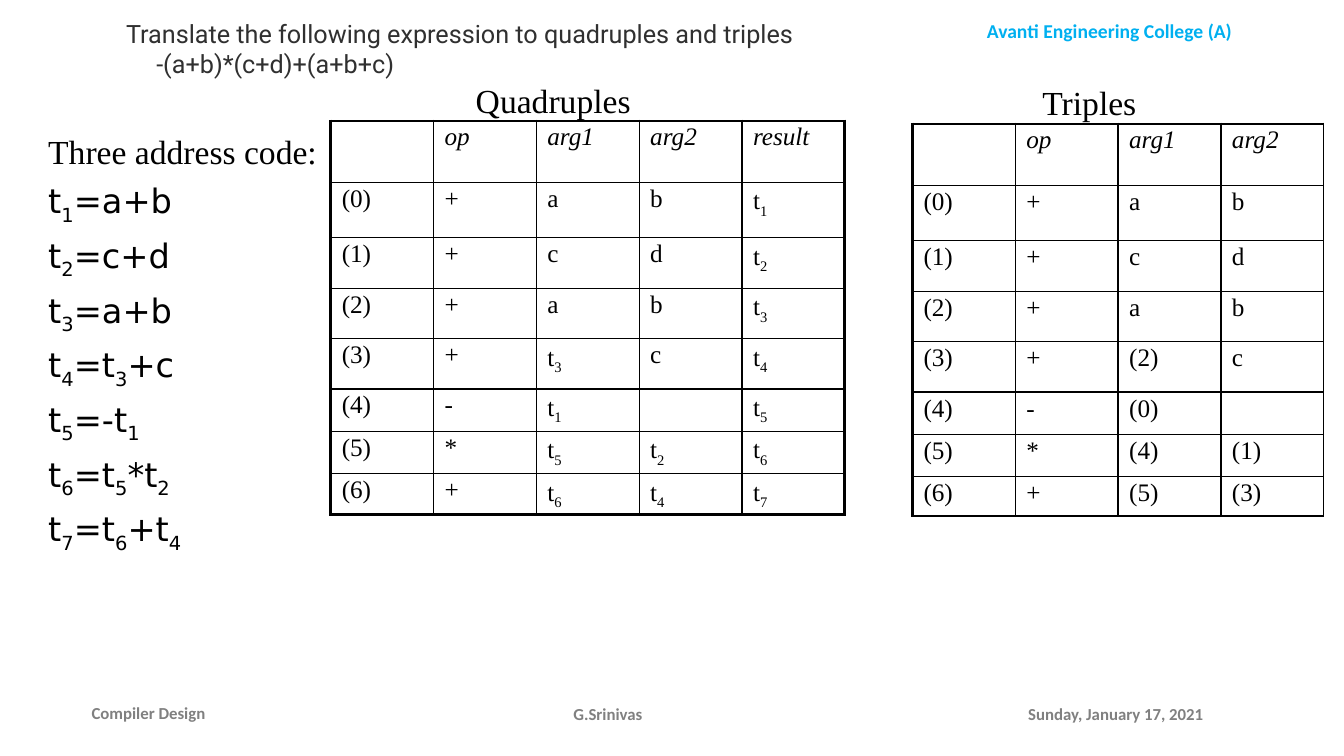
from lxml.etree import SubElement as Sub
from pptx import Presentation
from pptx.dml.color import RGBColor as Rgb
from pptx.enum.text import MSO_ANCHOR as Anchor, MSO_AUTO_SIZE as Fit, PP_ALIGN as Align
from pptx.oxml.ns import qn
from pptx.util import Inches, Pt

SERIF = "Times New Roman"
BLACK = "000000"
GREY = "808080"
COL = 1.02
ROWS = [0.61, 0.55, 0.5, 0.5, 0.5, 0.42, 0.42, 0.39]
THIN, THICK = 1, 2.25

CODE = ["t_1=a+b", "t_2=c+d", "t_3=a+b", "t_4=t_3+c", "t_5=-t_1", "t_6=t_5*t_2", "t_7=t_6+t_4"]
QUADS = [
    ["", "op", "arg1", "arg2", "result"],
    ["(0)", "+", "a", "b", "t_1"],
    ["(1)", "+", "c", "d", "t_2"],
    ["(2)", "+", "a", "b", "t_3"],
    ["(3)", "+", "t_3", "c", "t_4"],
    ["(4)", "-", "t_1", "", "t_5"],
    ["(5)", "*", "t_5", "t_2", "t_6"],
    ["(6)", "+", "t_6", "t_4", "t_7"],
]
TRIPLES = [
    ["", "op", "arg1", "arg2"],
    ["(0)", "+", "a", "b"],
    ["(1)", "+", "c", "d"],
    ["(2)", "+", "a", "b"],
    ["(3)", "+", "(2)", "c"],
    ["(4)", "-", "(0)", ""],
    ["(5)", "*", "(4)", "(1)"],
    ["(6)", "+", "(5)", "(3)"],
]


def paint(font, color):
    font.color.rgb = Rgb.from_string(color)


def style(para, size, face, color=BLACK, bold=False, italic=False):
    font = para.font
    font.size, font.name, font.bold, font.italic = Pt(size), face, bold, italic
    paint(font, color)


def write(para, text):
    head, *rest = text.split("_")
    if head:
        para.add_run().text = head
    for part in rest:
        low = para.add_run()
        low.text = part[0]
        low.font._element.set("baseline", "-25000")
        if part[1:]:
            para.add_run().text = part[1:]


def indent(para, left, first=0):
    props = para._p.get_or_add_pPr()
    props.set("marL", str(Inches(left)))
    props.set("indent", str(Inches(first)))


def place(shape, left, top, width, height):
    shape.left, shape.top = Inches(left), Inches(top)
    shape.width, shape.height = Inches(width), Inches(height)


def add_title(slide, lines):
    title = slide.shapes.title
    place(title, 1.15, 0.13, 8.95, 0.71)
    frame = title.text_frame
    frame.auto_size, frame.vertical_anchor = Fit.NONE, Anchor.TOP
    frame.text = "\n".join(lines)
    for para in frame.paragraphs:
        para.alignment = Align.LEFT
        style(para, 18, "Roboto", "303030")
    indent(frame.paragraphs[1], 0.3)


def add_box(slide, box, wrap=True, anchor=Anchor.TOP):
    frame = slide.shapes.add_textbox(*map(Inches, box)).text_frame
    frame.word_wrap, frame.vertical_anchor = wrap, anchor
    return frame


def add_label(slide, box, text, size, face, color=BLACK, bold=False,
              align=Align.LEFT, wrap=True, anchor=Anchor.TOP):
    para = add_box(slide, box, wrap, anchor).paragraphs[0]
    para.alignment = align
    write(para, text)
    style(para, size, face, color, bold)


def add_code(slide):
    frame = add_box(slide, (0.38, 1.25, 3.39, 2.5))
    head = frame.paragraphs[0]
    write(head, "Three address code:")
    style(head, 24, SERIF)
    head.space_before = Pt(5.5)
    for text in CODE:
        line = frame.add_paragraph()
        write(line, text)
        style(line, 24, "DejaVu Sans")
        line.space_before = Pt(6.3)
        indent(line, 0.38, -0.38)


def edge(cell, side, width):
    line = Sub(cell._tc.get_or_add_tcPr(), qn("a:ln" + side), w=str(Pt(width)))
    Sub(Sub(line, qn("a:solidFill")), qn("a:srgbClr"), val=BLACK)


def add_grid(slide, left, top, data, right):
    count = len(data[0])
    table = slide.shapes.add_table(len(data), count, Inches(left), Inches(top),
                                   Inches(COL * count), Inches(sum(ROWS))).table
    table.first_row = table.horz_banding = False
    for col in table.columns:
        col.width = Inches(COL)
    for row, height in zip(table.rows, ROWS):
        row.height = Inches(height)
    for i, row in enumerate(data):
        for j, text in enumerate(row):
            cell = table.cell(i, j)
            edge(cell, "L", THIN if j else THICK)
            edge(cell, "R", right if j == count - 1 else THIN)
            edge(cell, "T", THIN if i else THICK)
            edge(cell, "B", THICK if i == len(data) - 1 else THIN)
            cell.fill.background()
            cell.margin_left = cell.margin_right = Inches(0.11)
            para = cell.text_frame.paragraphs[0]
            write(para, text)
            style(para, 18, SERIF, italic=i == 0)
            para.line_spacing, para.space_before = 0.89, Pt(2)


def main():
    deck = Presentation()
    deck.slide_width, deck.slide_height = Inches(13.33), Inches(7.5)
    slide = deck.slides.add_slide(deck.slide_layouts[5])
    add_title(slide, ["Translate the following expression to quadruples and triples",
                      "-(a+b)*(c+d)+(a+b+c)"])
    add_label(slide, (9.09, 0.14, 3.83, 0.34), "Avanti Engineering College (A)", 14,
              "Calibri", "00B0F0", True, Align.CENTER)
    for box, text, align in [
        ((0.81, 6.87, 2.11, 0.4), "Compiler Design", Align.LEFT),
        ((4.53, 6.88, 3, 0.4), "G.Srinivas", Align.CENTER),
        ((10.1, 6.88, 2.3, 0.4), "Sunday, January 17, 2021", Align.LEFT),
    ]:
        add_label(slide, box, text, 12, "Calibri", GREY, True, align, anchor=Anchor.MIDDLE)
    add_code(slide)
    add_label(slide, (4.62, 0.74, 1.75, 0.51), "Quadruples", 24, SERIF, wrap=False)
    add_grid(slide, 3.28, 1.2, QUADS, THICK)
    add_label(slide, (10.24, 0.76, 1.14, 0.5), "Triples", 24, SERIF, wrap=False)
    add_grid(slide, 9.05, 1.23, TRIPLES, THIN)
    deck.save("out.pptx")


if __name__ == "__main__":
    main()
